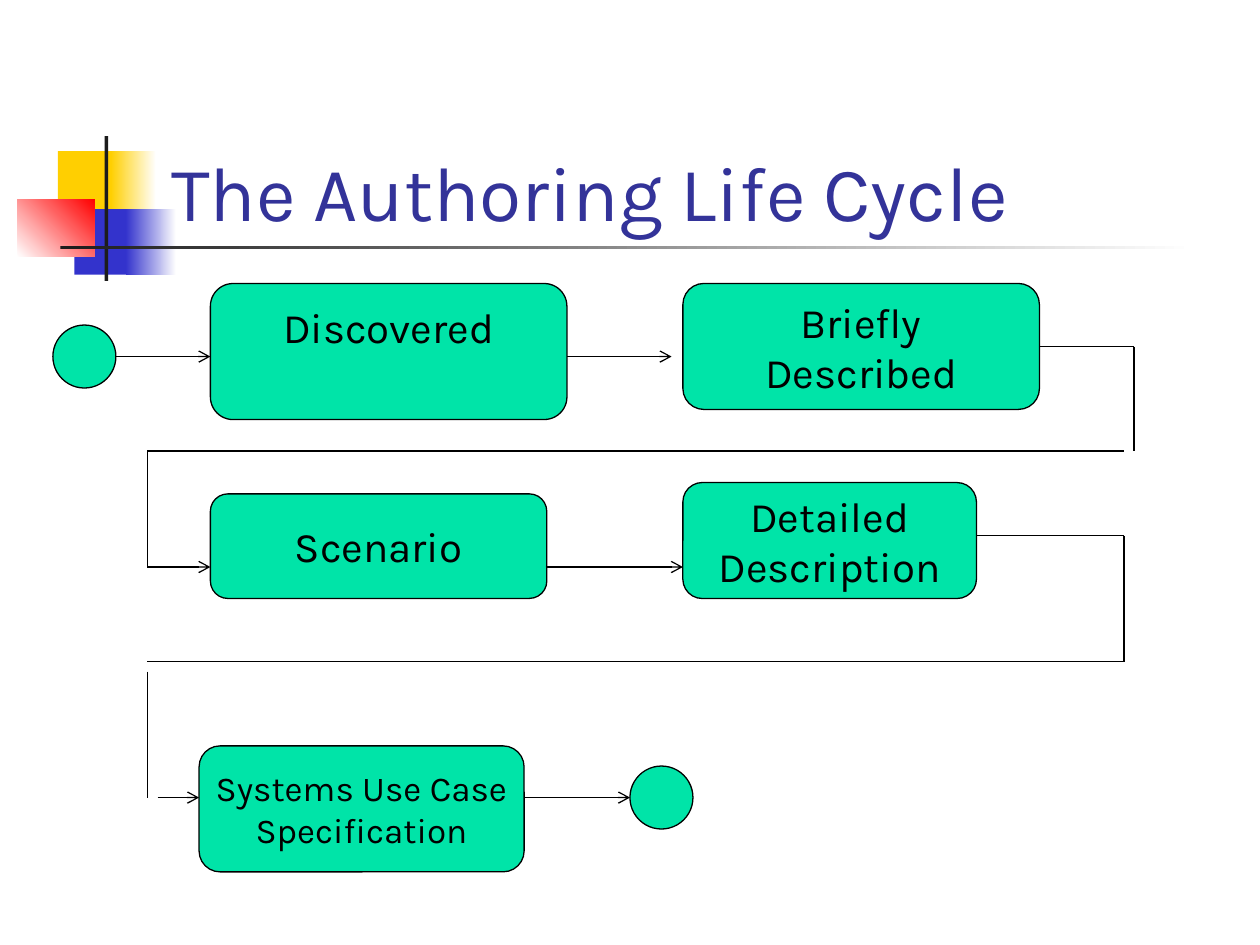
from dataclasses import dataclass
from itertools import pairwise

from lxml.etree import SubElement
from pptx import Presentation
from pptx.dml.color import RGBColor
from pptx.enum.shapes import MSO_CONNECTOR, MSO_SHAPE as SHAPE
from pptx.enum.text import MSO_ANCHOR as ANCHOR, PP_ALIGN as ALIGN
from pptx.oxml.ns import qn
from pptx.util import Inches, Pt


@dataclass(frozen=True)
class Theme:
    font: str = "Karla"
    title_size: int = 44
    title: str = "333399"
    ink: str = "000000"
    state: str = "00E4A8"
    line_width: float = 0.75
    yellow: str = "FFCF01"
    blue: str = "3333CC"
    red: str = "FF0000"
    dark: str = "1C1C1C"
    white: str = "FFFFFF"


THEME = Theme()
TITLE = ("The Authoring Life Cycle", (1.26, 0.68, 8.52, 1.25))

# box, colours (two make a gradient), gradient angle
ORNAMENTS = [
    ((0.46, 1.2, 0.48, 0.52), [THEME.yellow], 0),
    ((0.88, 1.2, 0.36, 0.52), [THEME.yellow, THEME.white], 0),
    ((0.59, 1.66, 0.46, 0.52), [THEME.blue], 0),
    ((1, 1.66, 0.4, 0.52), [THEME.blue, THEME.white], 0),
    ((0.14, 1.58, 0.61, 0.46), [THEME.white, THEME.red], 45),
    ((0.83, 1.08, 0.03, 1.15), [THEME.dark], 0),
    ((0.48, 1.95, 9, 0.03), [THEME.dark, THEME.white], 0),
]

# lines of text, box, preset, type size, bottom inset
STATES = [
    (["Discovered"], (1.67, 2.25, 2.83, 1.08), SHAPE.ROUNDED_RECTANGLE, 24, 0.44),
    (["Briefly", "Described"], (5.42, 2.25, 2.83, 1), SHAPE.ROUNDED_RECTANGLE, 24, 0.05),
    (["Scenario"], (1.67, 3.92, 2.67, 0.83), SHAPE.FLOWCHART_ALTERNATE_PROCESS, 24, 0.05),
    (["Detailed", "Description"], (5.42, 3.83, 2.33, 0.92), SHAPE.ROUNDED_RECTANGLE, 24, 0.05),
    (["Systems Use Case", "Specification"], (1.58, 5.92, 2.58, 1), SHAPE.ROUNDED_RECTANGLE, 20, 0.05),
]
ENDPOINTS = [(0.42, 2.58, 0.5, 0.5), (5, 6.08, 0.5, 0.5)]

# corner points, arrowhead on the last segment
ROUTES = [
    ([(0.92, 2.83), (1.67, 2.83)], True),
    ([(4.5, 2.83), (5.33, 2.83)], True),
    ([(8.25, 2.75), (9, 2.75), (9, 3.58)], False),
    ([(8.92, 3.58), (1.17, 3.58), (1.17, 4.5), (1.67, 4.5)], True),
    ([(4.33, 4.5), (5.42, 4.5)], True),
    ([(7.75, 4.25), (8.92, 4.25), (8.92, 5.25), (1.17, 5.25)], False),
    ([(1.17, 5.33), (1.17, 6.33)], False),
    ([(1.25, 6.33), (1.58, 6.33)], True),
    ([(4.17, 6.33), (5, 6.33)], True),
]


def inches(values):
    return [Inches(v) for v in values]


def color(hex_code):
    return RGBColor.from_string(hex_code)


def style_line(line):
    line.color.rgb = color(THEME.ink)
    line.width = Pt(THEME.line_width)


def add_ornament(slide, box, colors, angle):
    sp = slide.shapes.add_shape(SHAPE.RECTANGLE, *inches(box))
    sp.shadow.inherit = False
    sp.line.fill.background()
    if len(colors) == 1:
        sp.fill.solid()
        sp.fill.fore_color.rgb = color(colors[0])
        return
    sp.fill.gradient()
    sp.fill.gradient_angle = angle
    for position, (stop, hex_code) in enumerate(zip(sp.fill.gradient_stops, colors)):
        stop.position = position
        stop.color.rgb = color(hex_code)


def add_node(slide, preset, box):
    sp = slide.shapes.add_shape(preset, *inches(box))
    sp.shadow.inherit = False
    sp.fill.solid()
    sp.fill.fore_color.rgb = color(THEME.state)
    style_line(sp.line)
    return sp


def write(tf, lines, size, hex_code, align):
    for i, text in enumerate(lines):
        p = tf.add_paragraph() if i else tf.paragraphs[0]
        p.text = text
        p.alignment = align
        p.font.name = THEME.font
        p.font.size = Pt(size)
        p.font.color.rgb = color(hex_code)


def add_state(slide, lines, box, preset, size, bottom):
    sp = add_node(slide, preset, box)
    tf = sp.text_frame
    tf.word_wrap = False
    tf.vertical_anchor = ANCHOR.MIDDLE
    tf.margin_bottom = Inches(bottom)
    write(tf, lines, size, THEME.ink, ALIGN.CENTER)
    return sp


def add_segment(slide, start, end, arrow):
    line = slide.shapes.add_connector(MSO_CONNECTOR.STRAIGHT, *inches(start + end))
    style_line(line.line)
    if arrow:
        SubElement(line.line._get_or_add_ln(), qn("a:tailEnd"), type="arrow")
    SubElement(line._element.spPr, qn("a:effectLst"))
    return line


def join_start(line, start, states):
    """Glue the line to a state whose right side has its middle at start."""
    for sp, (_, (left, top, width, height), *_) in zip(states, STATES):
        middle = (left + width, top + height / 2)
        if all(abs(a - b) < 0.01 for a, b in zip(start, middle)):
            line.begin_connect(sp, 3)


def main():
    prs = Presentation()
    prs.slide_width, prs.slide_height = Inches(10), Inches(7.5)
    slide = prs.slides.add_slide(prs.slide_layouts[6])

    for ornament in ORNAMENTS:
        add_ornament(slide, *ornament)

    text, box = TITLE
    tf = slide.shapes.add_textbox(*inches(box)).text_frame
    tf.word_wrap = True
    tf.vertical_anchor = ANCHOR.BOTTOM
    write(tf, [text], THEME.title_size, THEME.title, ALIGN.LEFT)

    states = [add_state(slide, *state) for state in STATES]
    for box in ENDPOINTS:
        add_node(slide, SHAPE.FLOWCHART_CONNECTOR, box)

    for points, arrow in ROUTES:
        for start, end in pairwise(points):
            line = add_segment(slide, start, end, arrow and end == points[-1])
            join_start(line, start, states)

    prs.save("out.pptx")


if __name__ == "__main__":
    main()
